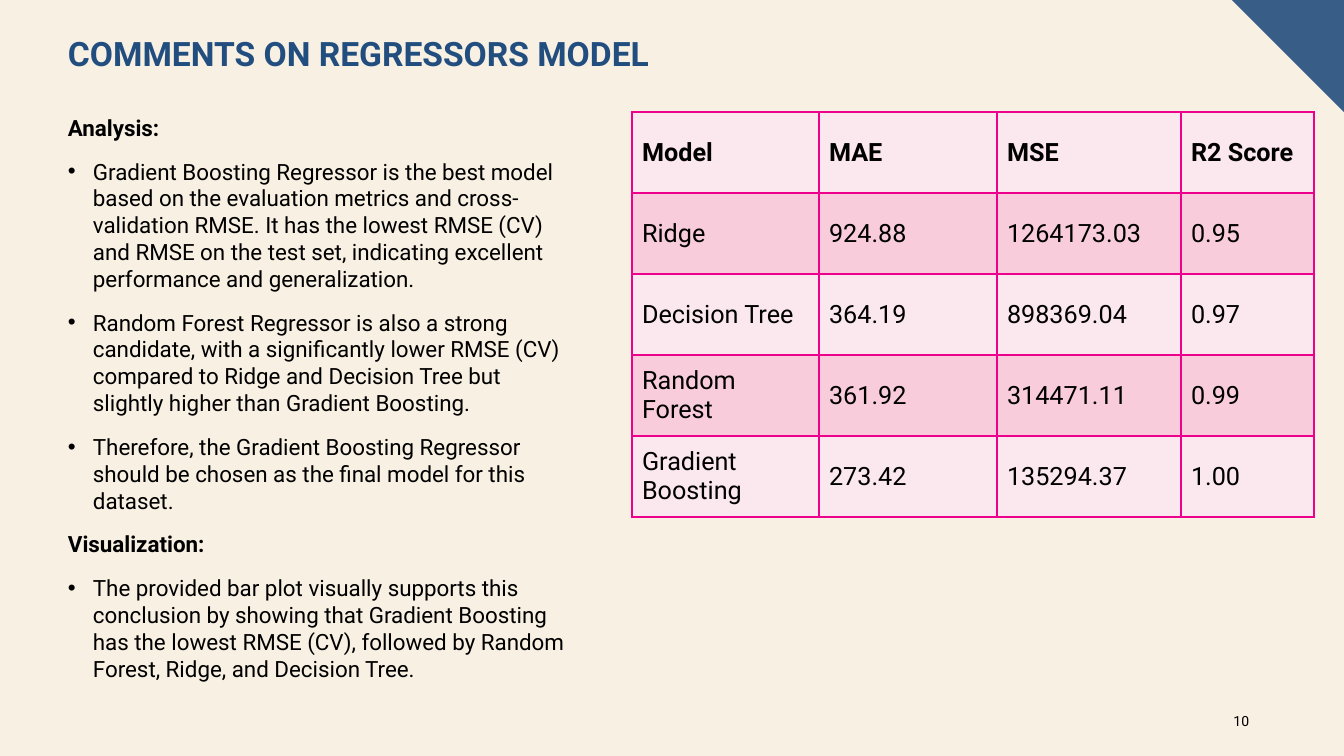
from lxml.etree import SubElement
from pptx import Presentation
from pptx.dml.color import RGBColor
from pptx.enum.text import MSO_ANCHOR, PP_ALIGN
from pptx.oxml.ns import qn
from pptx.util import Pt

PX = 914400 / 100.8
BACKDROP = RGBColor(0xF8, 0xF0, 0xE3)
CORNER_BLUE = RGBColor(0x38, 0x5E, 0x88)
TITLE_BLUE = RGBColor(0x22, 0x4E, 0x7F)
BLACK = RGBColor(0, 0, 0)
PALE_PINK = RGBColor(0xFB, 0xE7, 0xEE)
DEEP_PINK = RGBColor(0xF8, 0xCC, 0xDA)
MAGENTA = RGBColor(0xEC, 0x00, 0x8C)


def px(length):
    return round(length * PX)


def write(paragraph, text, size, color=BLACK, bold=False, bullet=False,
          after=0, spacing=None, align=PP_ALIGN.LEFT):
    if bullet:
        properties = paragraph._p.get_or_add_pPr()
        properties.set("marL", str(px(25)))
        properties.set("indent", str(-px(25)))
        SubElement(properties, qn("a:buFont"), typeface="Arial")
        SubElement(properties, qn("a:buChar"), char="•")
    paragraph.alignment = align
    paragraph.space_after = Pt(after)
    if spacing:
        paragraph.line_spacing = spacing
    run = paragraph.add_run()
    run.text = text
    run.font.name = "Roboto"
    run.font.size = Pt(size)
    run.font.bold = bold
    run.font.color.rgb = color


prs = Presentation()
prs.slide_width, prs.slide_height = px(1344), px(756)
slide = prs.slides.add_slide(prs.slide_layouts[6])
slide.background.fill.solid()
slide.background.fill.fore_color.rgb = BACKDROP

# Corner triangle
outline = slide.shapes.build_freeform(1232, 0, scale=PX)
outline.add_line_segments([(1344, 0), (1344, 112)], close=True)
corner = outline.convert_to_shape()
corner.shadow.inherit = False
corner.fill.solid()
corner.fill.fore_color.rgb = CORNER_BLUE
corner.line.fill.background()

# Title
title = slide.shapes.add_textbox(px(58), px(33), px(1176), px(77)).text_frame
title.word_wrap = True
write(title.paragraphs[0], "COMMENTS ON REGRESSORS MODEL", 24,
      color=TITLE_BLUE, bold=True, spacing=0.9)

# Comments: (text, is a heading)
comments = [
    ("Analysis:", True),
    ("Gradient Boosting Regressor is the best model based on the evaluation "
     "metrics and cross-validation RMSE. It has the lowest RMSE (CV) and RMSE "
     "on the test set, indicating excellent performance and generalization.", False),
    ("Random Forest Regressor is also a strong candidate, with a significantly "
     "lower RMSE (CV) compared to Ridge and Decision Tree but slightly higher "
     "than Gradient Boosting.", False),
    ("Therefore, the Gradient Boosting Regressor should be chosen as the final "
     "model for this dataset.", False),
    ("Visualization:", True),
    ("The provided bar plot visually supports this conclusion by showing that "
     "Gradient Boosting has the lowest RMSE (CV), followed by Random Forest, "
     "Ridge, and Decision Tree.", False),
]
body = slide.shapes.add_textbox(px(58), px(109), px(523), px(592)).text_frame
body.word_wrap = True
for i, (comment, heading) in enumerate(comments):
    paragraph = body.add_paragraph() if i else body.paragraphs[0]
    write(paragraph, comment, 16, bold=heading, bullet=not heading, after=12)

# Score table
scores = [
    ("Model", "MAE", "MSE", "R2 Score"),
    ("Ridge", "924.88", "1264173.03", "0.95"),
    ("Decision Tree", "364.19", "898369.04", "0.97"),
    ("Random Forest", "361.92", "314471.11", "0.99"),
    ("Gradient Boosting", "273.42", "135294.37", "1.00"),
]
column_widths = [187, 178, 184, 133]
score_table = slide.shapes.add_table(
    len(scores), len(column_widths), px(632), px(112),
    px(sum(column_widths)), px(81 * len(scores))).table
for column, width in zip(score_table.columns, column_widths):
    column.width = px(width)
for r, row in enumerate(scores):
    score_table.rows[r].height = px(81)
    for c, value in enumerate(row):
        cell = score_table.cell(r, c)
        cell.vertical_anchor = MSO_ANCHOR.MIDDLE
        write(cell.text_frame.paragraphs[0], value, 18, bold=r == 0)
        # Borders come before the fill in the cell properties
        for side in ("a:lnL", "a:lnR", "a:lnT", "a:lnB"):
            border = SubElement(cell._tc.get_or_add_tcPr(), qn(side), w=str(Pt(1)))
            ink = SubElement(border, qn("a:solidFill"))
            SubElement(ink, qn("a:srgbClr"), val=str(MAGENTA))
        cell.fill.solid()
        cell.fill.fore_color.rgb = DEEP_PINK if r % 2 else PALE_PINK

# Page number
page_number = slide.shapes.add_textbox(px(1208), px(701), px(51), px(40)).text_frame
page_number.word_wrap = True
page_number.vertical_anchor = MSO_ANCHOR.MIDDLE
write(page_number.paragraphs[0], "10", 10, align=PP_ALIGN.RIGHT)

prs.save("out.pptx")
